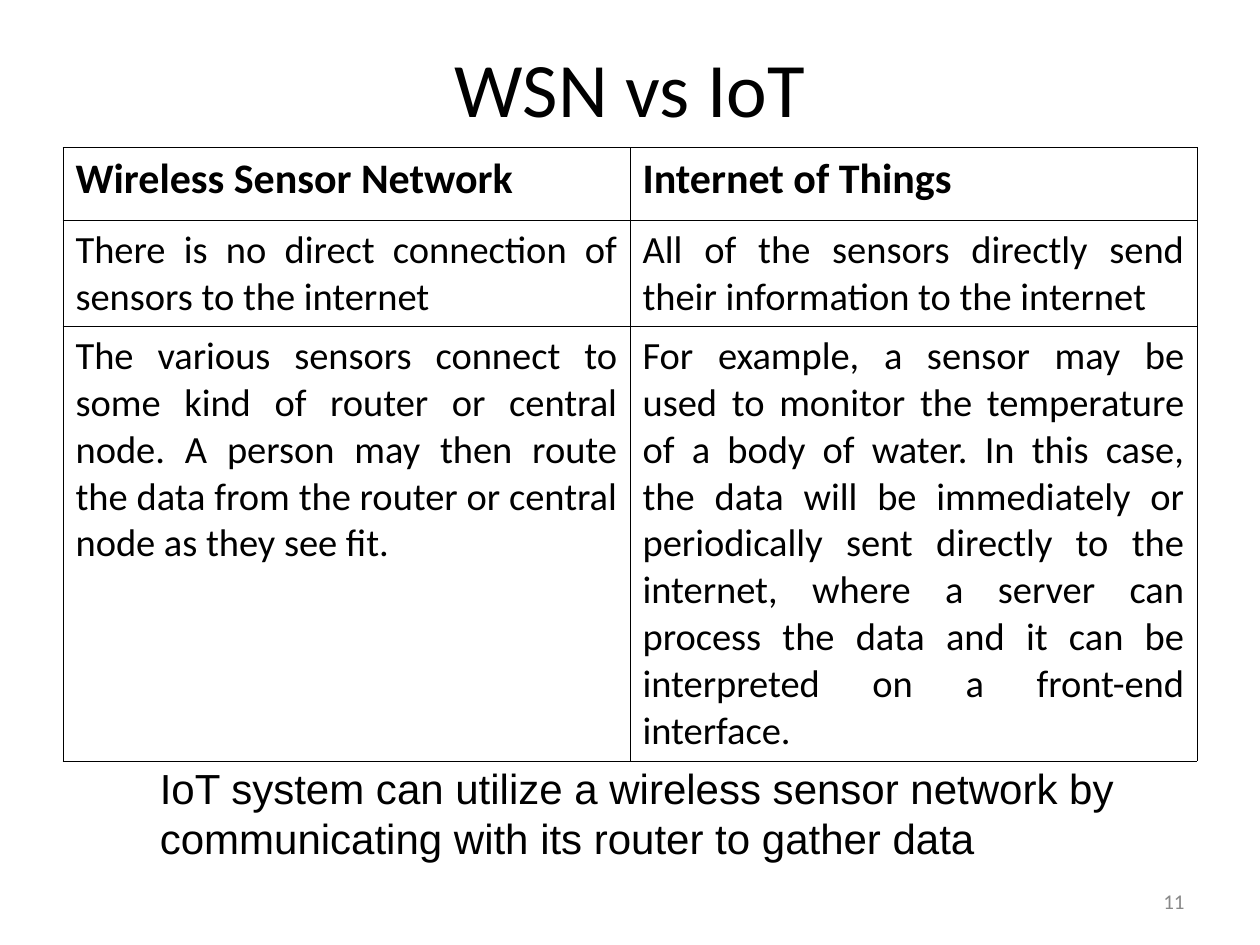
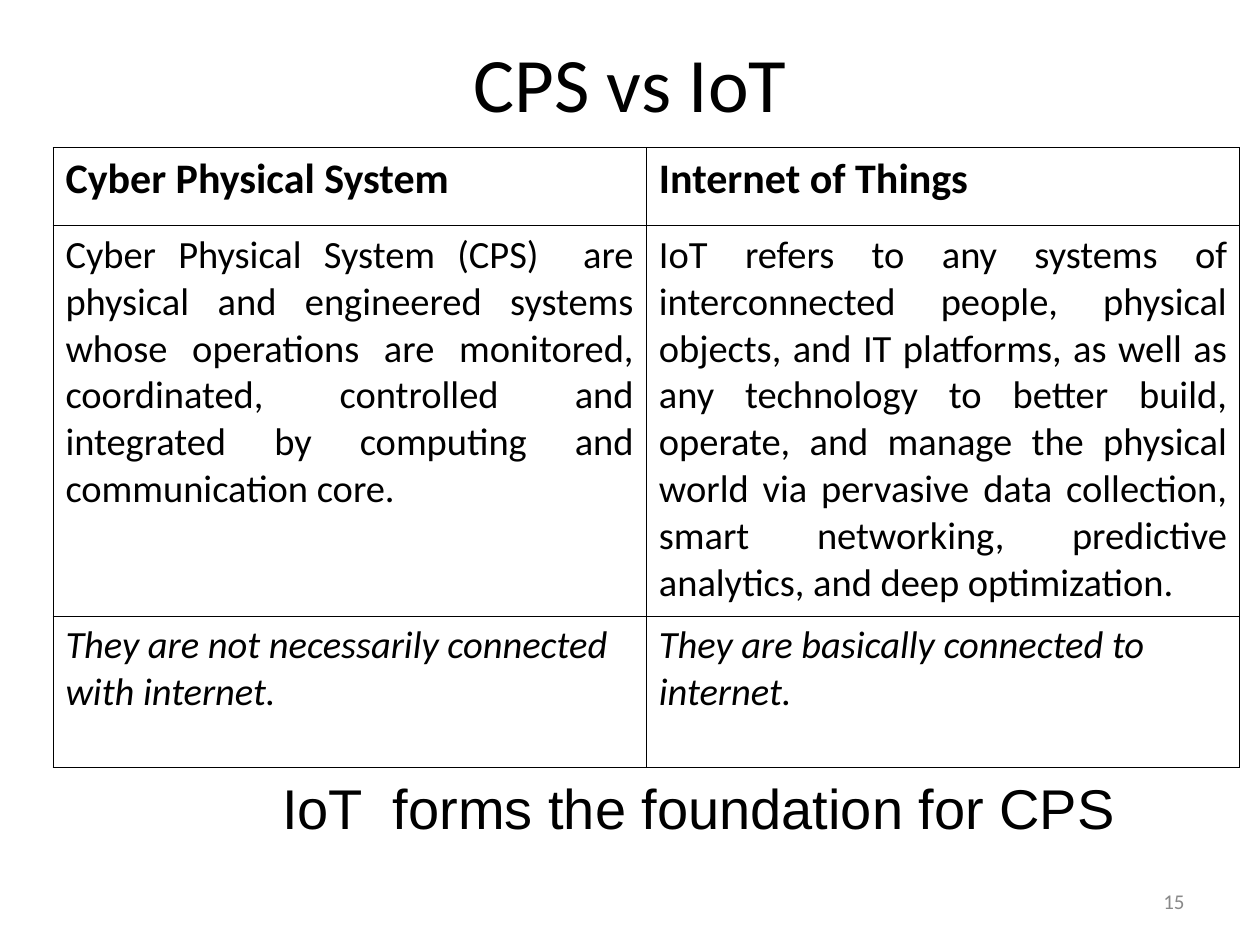
from lxml.etree import SubElement
from pptx import Presentation
from pptx.dml.color import RGBColor
from pptx.enum.text import MSO_ANCHOR as Anchor, PP_ALIGN as Align
from pptx.oxml.ns import qn
from pptx.util import Inches, Pt

COLORS = {"text": "000000", "paper": "FFFFFF", "border": "000000", "number": "898989"}
BORDER_WIDTH = 0.45
TABLE_TOP = 1.17

ROW_STYLES = {
    "header": dict(size=24, bold=True),
    "body": dict(size=22, align=Align.JUSTIFY),
    "remark": dict(size=22, italic=True),
}

COMPARISONS = [
    dict(
        title="WSN vs IoT",
        title_height=0.78,
        table_left=0.5,
        column_width=4.5,
        rows=[
            ("header", 0.58, "Wireless Sensor Network", "Internet of Things"),
            ("body", 0.84,
             "There is no direct connection of sensors to the internet",
             "All of the sensors directly send their information to the internet"),
            ("body", 3.4,
             "The various sensors connect to some kind of router or central node. "
             "A person may then route the data from the router or central node "
             "as they see fit.",
             "For example, a sensor may be used to monitor the temperature of a body "
             "of water. In this case, the data will be immediately or periodically "
             "sent directly to the internet, where a server can process the data and "
             "it can be interpreted on a front-end interface."),
        ],
        conclusion="IoT system can utilize a wireless sensor network by "
                   "communicating with its router to gather data",
        conclusion_box=(1.17, 6, 8.44, 0.9),
        conclusion_size=24,
        wrap=True,
        number="11",
    ),
    dict(
        title="CPS vs IoT",
        title_height=0.7,
        table_left=0.42,
        column_width=4.71,
        rows=[
            ("header", 0.62, "Cyber Physical System", "Internet of Things"),
            ("body", 3.1,
             "Cyber Physical System (CPS)  are physical and engineered systems whose "
             "operations are monitored, coordinated, controlled and integrated by "
             "computing and communication core.",
             "IoT refers to any systems of interconnected people, physical objects, "
             "and IT platforms, as well as any technology to better build, operate, "
             "and manage the physical world via pervasive data collection, smart "
             "networking, predictive analytics, and deep optimization."),
            ("remark", 1.2,
             "They are not necessarily connected with internet.",
             "They are basically connected to internet."),
        ],
        conclusion="IoT  forms the foundation for CPS",
        conclusion_box=(2.14, 6.09, 6.83, 0.64),
        conclusion_size=32,
        wrap=False,
        number="15",
    ),
]


def write(frame, text, size, font="Calibri", color="text", align=Align.LEFT,
          bold=False, italic=False):
    paragraph = frame.paragraphs[0]
    paragraph.alignment = align
    run = paragraph.add_run()
    run.text = text
    run.font.size = Pt(size)
    run.font.name = font
    run.font.bold = bold
    run.font.italic = italic
    run.font.color.rgb = RGBColor.from_string(COLORS[color])


def add_text(slide, box, text, wrap=True, anchor=Anchor.TOP, **text_format):
    frame = slide.shapes.add_textbox(*map(Inches, box)).text_frame
    frame.word_wrap = wrap
    frame.vertical_anchor = anchor
    write(frame, text, **text_format)


def add_title(slide, text, height):
    title = slide.shapes.title
    title.left, title.top, title.width, title.height = map(Inches, (0.5, 0.3, 9, height))
    title.text_frame.vertical_anchor = Anchor.MIDDLE
    write(title.text_frame, text, size=44, align=Align.CENTER)


def draw_borders(cell):
    properties = cell._tc.get_or_add_tcPr()
    for side in ("lnL", "lnR", "lnT", "lnB"):
        line = SubElement(properties, qn(f"a:{side}"), w=str(Pt(BORDER_WIDTH)))
        fill = SubElement(line, qn("a:solidFill"))
        SubElement(fill, qn("a:srgbClr"), val=COLORS["border"])


def add_comparison_table(slide, left, column_width, rows):
    height = sum(row_height for _, row_height, *_ in rows)
    table = slide.shapes.add_table(
        len(rows), 2, Inches(left), Inches(TABLE_TOP),
        Inches(2 * column_width), Inches(height)).table
    table.first_row = table.horz_banding = False
    for row, (style, row_height, *texts) in zip(table.rows, rows):
        row.height = Inches(row_height)
        for cell, text in zip(row.cells, texts):
            draw_borders(cell)
            cell.fill.solid()
            cell.fill.fore_color.rgb = RGBColor.from_string(COLORS["paper"])
            write(cell.text_frame, text, **ROW_STYLES[style])


def main():
    deck = Presentation()
    deck.slide_width, deck.slide_height = Inches(10), Inches(7.5)
    title_only = deck.slide_layouts[5]
    for topic in COMPARISONS:
        slide = deck.slides.add_slide(title_only)
        add_title(slide, topic["title"], topic["title_height"])
        add_comparison_table(slide, topic["table_left"], topic["column_width"],
                             topic["rows"])
        add_text(slide, topic["conclusion_box"], topic["conclusion"],
                 wrap=topic["wrap"], size=topic["conclusion_size"], font="Arial")
        add_text(slide, (7.17, 6.95, 2.33, 0.4), topic["number"],
                 anchor=Anchor.MIDDLE, size=12, color="number", align=Align.RIGHT)
    deck.save("out.pptx")


if __name__ == "__main__":
    main()
